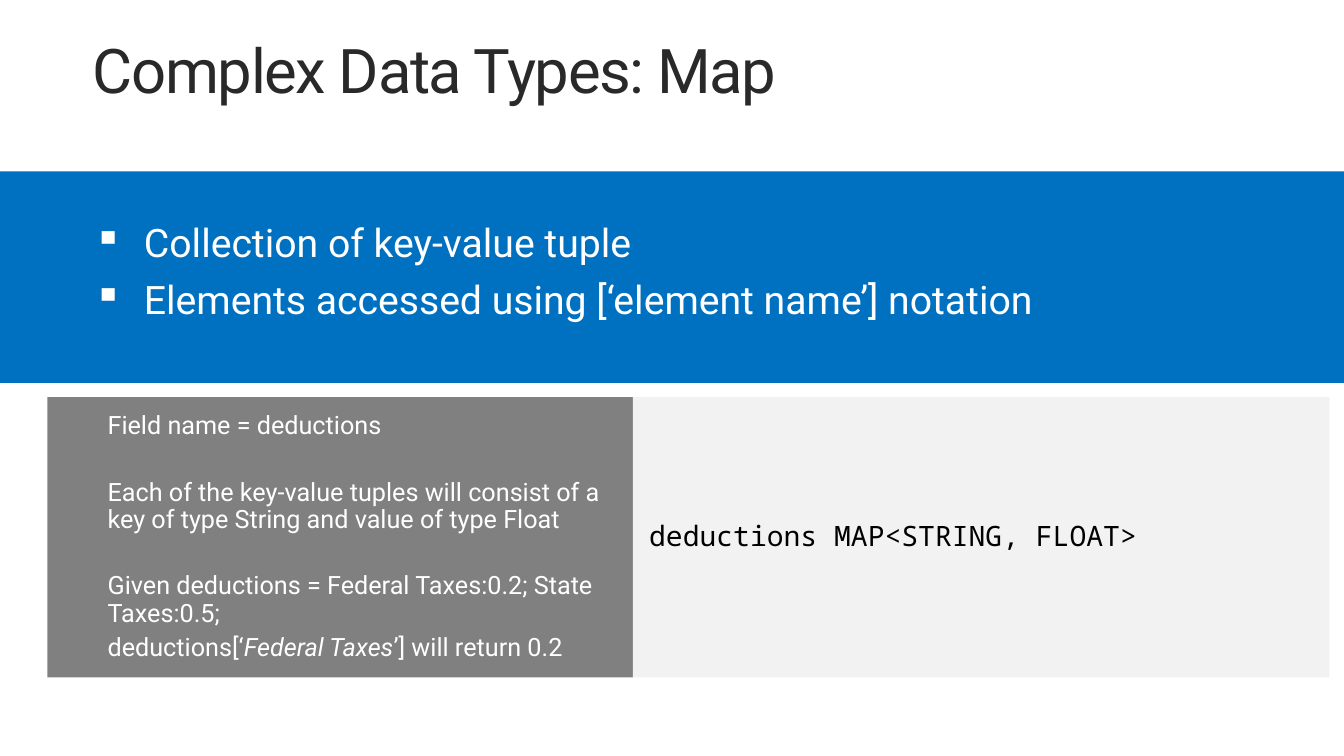
from dataclasses import dataclass

from lxml.etree import SubElement
from pptx import Presentation
from pptx.dml.color import RGBColor
from pptx.enum.shapes import MSO_SHAPE
from pptx.enum.text import MSO_ANCHOR, MSO_AUTO_SIZE
from pptx.oxml.ns import qn
from pptx.util import Pt


@dataclass(frozen=True)
class Theme:
    """Colours, fonts and type sizes of the slide."""
    ink: str = "292929"
    black: str = "000000"
    white: str = "FFFFFF"
    band: str = "0070C0"
    explanation: str = "808080"
    code: str = "F2F2F2"
    sans: str = "Roboto"
    mono: str = "Noto Sans Mono"
    title_size: float = 44
    bullet_size: float = 28
    code_size: float = 20
    note_size: float = 18


THEME = Theme()


def apply_format(target, values):
    """Set every attribute in a dict of format values."""
    for name, value in values.items():
        setattr(target, name, value)


def add_panel(shapes, box, color):
    """Draw a plain filled rectangle and return it."""
    panel = shapes.add_shape(MSO_SHAPE.RECTANGLE, *map(Pt, box))
    panel.shadow.inherit = False
    panel.fill.solid()
    panel.fill.fore_color.rgb = RGBColor.from_string(color)
    panel.line.fill.background()
    return panel


def add_text(frame, paragraphs, font, size, color, margin=0, hanging=0, bullet=None):
    """Write (space before, runs) paragraphs, each run being (text, italic)."""
    frame.word_wrap = True
    for index, (space, runs) in enumerate(paragraphs):
        paragraph = frame.paragraphs[0] if index == 0 else frame.add_paragraph()
        properties = paragraph._p.get_or_add_pPr()
        properties.set("marL", str(Pt(margin)))
        properties.set("indent", str(Pt(-hanging)))
        properties.set("algn", "l")
        if bullet:
            SubElement(properties, qn("a:buChar"), char=bullet)
        apply_format(paragraph, {"line_spacing": 0.9, "space_before": Pt(space)})
        for text, italic in runs:
            run = paragraph.add_run()
            run.text = text
            apply_format(run.font, {"name": font, "size": Pt(size), "italic": italic})
            run.font.color.rgb = RGBColor.from_string(color)


def add_title(slide, box, text):
    """Write the slide title with slightly tightened letters."""
    frame = slide.shapes.add_textbox(*map(Pt, box)).text_frame
    apply_format(frame, {"margin_left": 0, "margin_right": 0, "margin_top": 0,
                         "margin_bottom": 0, "auto_size": MSO_AUTO_SIZE.SHAPE_TO_FIT_TEXT})
    add_text(frame, [(0, [(text, False)])], THEME.sans, THEME.title_size, THEME.ink)
    frame.paragraphs[0].runs[0].font._element.set("spc", "-100")


def add_bullet_band(slide, box, bullets):
    """Draw the full-width band with its bullet list."""
    left, top, width, height = box
    shapes = slide.shapes.add_group_shape().shapes
    add_panel(shapes, box, THEME.band)
    text_box = (left + 50.4, top + 14.4, width - 67.2, height - 34.6)
    frame = shapes.add_textbox(*map(Pt, text_box)).text_frame
    frame.vertical_anchor = MSO_ANCHOR.MIDDLE
    paragraphs = [(10 if index else 0, [(text, False)]) for index, text in enumerate(bullets)]
    add_text(frame, paragraphs, THEME.sans, THEME.bullet_size, THEME.white,
             margin=45.36, hanging=36, bullet="▪")


def add_example(slide, box, notes, code):
    """Draw the explanation panel beside the code panel."""
    left, top, width, height = box
    note_width = 418.3
    shapes = slide.shapes.add_group_shape().shapes
    note_panel = add_panel(shapes, (left, top, note_width, height), THEME.explanation)
    code_box = (left + note_width, top, width - note_width, height)
    code_panel = add_panel(shapes, code_box, THEME.code)
    for panel in (note_panel, code_panel):
        panel.text_frame.vertical_anchor = MSO_ANCHOR.MIDDLE
    add_text(note_panel.text_frame, notes, THEME.sans, THEME.note_size, THEME.white, margin=36)
    add_text(code_panel.text_frame, [(0, [(code, False)])], THEME.mono, THEME.code_size,
             THEME.black, margin=4.5)


def main():
    """Build the slide and save it."""
    presentation = Presentation()
    apply_format(presentation, {"slide_width": Pt(960), "slide_height": Pt(540)})
    slide = presentation.slides.add_slide(presentation.slide_layouts[6])
    add_title(slide, (66.2, 28.8, 878.4, 49), "Complex Data Types: Map")
    notes = [
        (0, [("Field name = deductions", False)]),
        (28, [("Each of the key-value tuples will consist of a key of type String "
               "and value of type Float", False)]),
        (28, [("Given deductions = Federal Taxes:0.2; State Taxes:0.5;", False)]),
        (5, [("deductions[‘", False), ("Federal Taxes", True), ("’] will return 0.2", False)]),
    ]
    add_example(slide, (33.8, 283.7, 915.8, 200.2), notes, "deductions MAP<STRING, FLOAT>")
    add_bullet_band(slide, (0, 122.4, 960, 151.2), [
        "Collection of key-value tuple",
        "Elements accessed using [‘element name’] notation",
    ])
    presentation.save("out.pptx")


if __name__ == "__main__":
    main()
